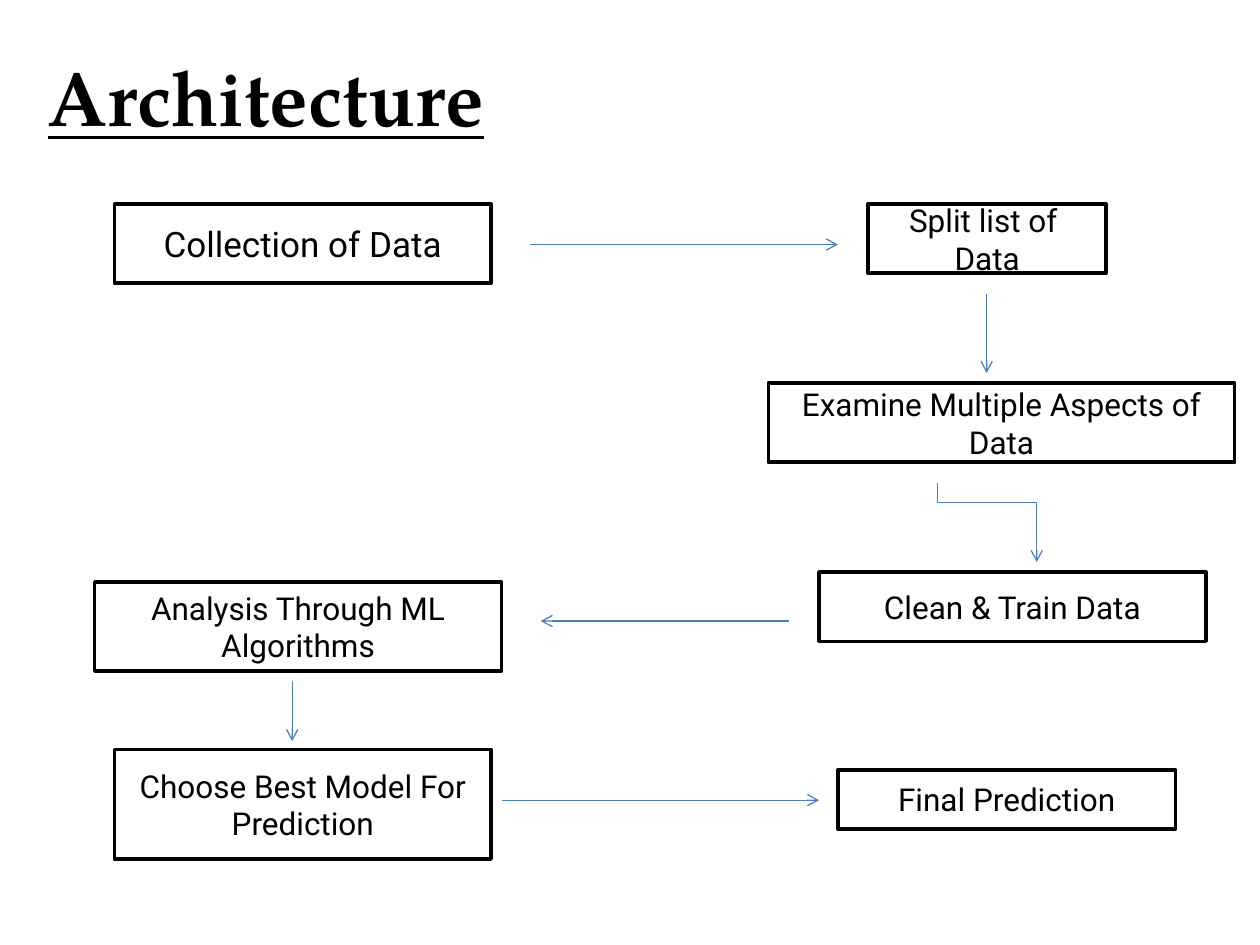
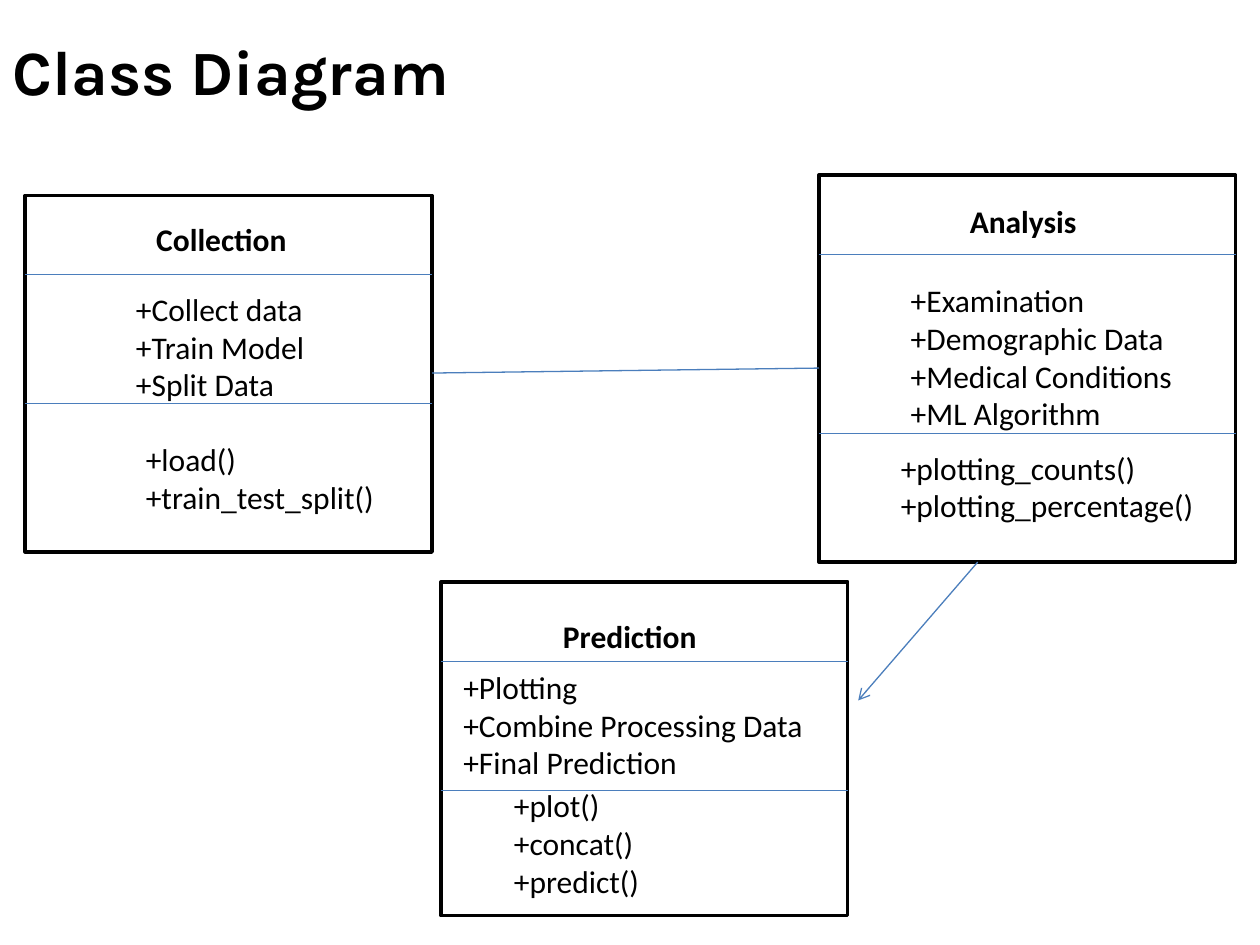
from itertools import pairwise

from lxml import etree
from pptx import Presentation
from pptx.dml.color import RGBColor
from pptx.enum.shapes import MSO_CONNECTOR as Connector, MSO_SHAPE as Shape
from pptx.enum.text import MSO_ANCHOR as Anchor, MSO_AUTO_SIZE as AutoSize, PP_ALIGN as Align
from pptx.oxml.ns import qn
from pptx.util import Cm, Pt

BLACK = RGBColor(0x00, 0x00, 0x00)
WHITE = RGBColor(0xFF, 0xFF, 0xFF)
BLUE = RGBColor(0x4B, 0x7E, 0xBC)

TITLE_FONT = "TeX Gyre Pagella"
CLASS_TITLE_FONT = "Karla"
STEP_FONT = "Roboto"
CLASS_FONT = "Calibri"

STEPS = [
    ("Collection of Data", (2.31, 4.11, 7.59, 1.6), 20),
    ("Split list of  Data", (17.5, 4.11, 4.8, 1.4), 18),
    ("Examine Multiple Aspects of Data", (15.49, 7.72, 9.4, 1.6), 18),
    ("Clean & Train Data", (16.51, 11.53, 7.8, 1.4), 18),
    ("Analysis Through ML Algorithms", (1.91, 11.73, 8.2, 1.8), 18),
    ("Choose Best Model For Prediction", (2.31, 15.11, 7.59, 2.21), 18),
    ("Final Prediction", (16.89, 15.52, 6.81, 1.19), 18),
]

ROUTES = [
    [(10.69, 4.93), (16.89, 4.93)],
    [(19.89, 5.92), (19.89, 7.52)],
    [(18.9, 9.73), (18.9, 10.13), (20.9, 10.13), (20.9, 11.33)],
    [(15.9, 12.52), (10.9, 12.52)],
    [(5.89, 13.72), (5.89, 14.94)],
    [(10.11, 16.13), (16.51, 16.13)],
]

CLASSES = [
    {
        "frame": (0.51, 3.94, 8.2, 7.19),
        "dividers": (5.54, 8.13),
        "name": ("Collection", (2.9, 4.32, 3.2, 1.02)),
        "members": [
            ("+Collect data\n+Train Model\n+Split Data", (2.49, 5.72, 4.8, 2.57)),
            ("+load()\n+train_test_split()", (2.69, 8.74, 6.81, 1.8)),
        ],
    },
    {
        "frame": (16.51, 3.53, 8.4, 7.8),
        "dividers": (5.13, 8.74),
        "name": ("Analysis", (19.3, 3.94, 4.4, 1.02)),
        "members": [
            ("+Examination\n+Demographic Data\n+Medical Conditions\n+ML Algorithm",
             (18.11, 5.54, 5.79, 4.11)),
            ("+plotting_counts()\n+plotting_percentage()", (17.91, 8.92, 6.91, 1.8)),
        ],
    },
    {
        "frame": (8.89, 11.73, 8.2, 6.73),
        "dividers": (13.34, 15.93),
        "name": ("Prediction", (11.1, 12.32, 5, 1.02)),
        "members": [
            ("+Plotting\n+Combine Processing Data\n+Final Prediction",
             (9.09, 13.34, 9.6, 2.57)),
            ("+plot()\n+concat()\n+predict()", (10.11, 15.72, 5, 3.33)),
        ],
    },
]


def lengths(values):
    return [Cm(value) for value in values]


def write(box, text, font=CLASS_FONT, size=18, bold=False, underline=False,
          align=Align.LEFT, anchor=Anchor.TOP, grow=False):
    frame = box.text_frame
    frame.word_wrap = True
    frame.vertical_anchor = anchor
    frame.auto_size = AutoSize.SHAPE_TO_FIT_TEXT if grow else AutoSize.NONE
    for index, line in enumerate(text.split("\n")):
        para = frame.add_paragraph() if index else frame.paragraphs[0]
        para.alignment = align
        span = para.add_run()
        span.text = line
        span.font.name = font
        span.font.size = Pt(size)
        span.font.bold = bold
        span.font.underline = underline
        span.font.color.rgb = BLACK


def add_text(page, text, place, **style):
    write(page.shapes.add_textbox(*lengths(place)), text, **style)


def add_frame(page, place):
    box = page.shapes.add_shape(Shape.RECTANGLE, *lengths(place))
    box.shadow.inherit = False
    box.fill.solid()
    box.fill.fore_color.rgb = WHITE
    box.line.color.rgb = BLACK
    box.line.width = Pt(2)
    return box


def add_line(page, start, end, arrow=False):
    line = page.shapes.add_connector(Connector.STRAIGHT, *lengths(start + end))
    line.line.color.rgb = BLUE
    line.line.width = Pt(0.75)
    if arrow:
        etree.SubElement(line.line._get_or_add_ln(), qn("a:tailEnd"), type="arrow")
    etree.SubElement(line._element.spPr, qn("a:effectLst"))


def add_route(page, points):
    for start, end in pairwise(points):
        add_line(page, start, end, arrow=end == points[-1])


def add_class(page, frame, dividers, name, members):
    add_frame(page, frame)
    left, width = frame[0], frame[2]
    for level in dividers:
        add_line(page, (left, level), (left + width, level))
    add_text(page, *name, bold=True, grow=True)
    for text, place in members:
        add_text(page, text, place, grow=True)


def build_architecture(page):
    add_text(page, "Architecture", (0.71, 0.74, 22.86, 2.36), font=TITLE_FONT,
             size=44, bold=True, underline=True, anchor=Anchor.MIDDLE)
    for text, place, size in STEPS:
        write(add_frame(page, place), text, font=STEP_FONT, size=size,
              align=Align.CENTER, anchor=Anchor.MIDDLE)
    for points in ROUTES:
        add_route(page, points)


def build_class_diagram(page):
    add_text(page, "Class Diagram", (0, 0.53, 10.4, 1.8), font=CLASS_TITLE_FONT,
             size=36, bold=True, grow=True)
    for parts in CLASSES:
        add_class(page, **parts)
    add_line(page, (8.71, 7.52), (16.51, 7.42))
    add_line(page, (19.71, 11.33), (17.3, 14.12), arrow=True)


def main():
    deck = Presentation()
    deck.slide_width, deck.slide_height = Cm(25.4), Cm(19.05)
    blank = deck.slide_layouts[6]
    for build in (build_architecture, build_class_diagram):
        build(deck.slides.add_slide(blank))
    deck.save("out.pptx")


main()
